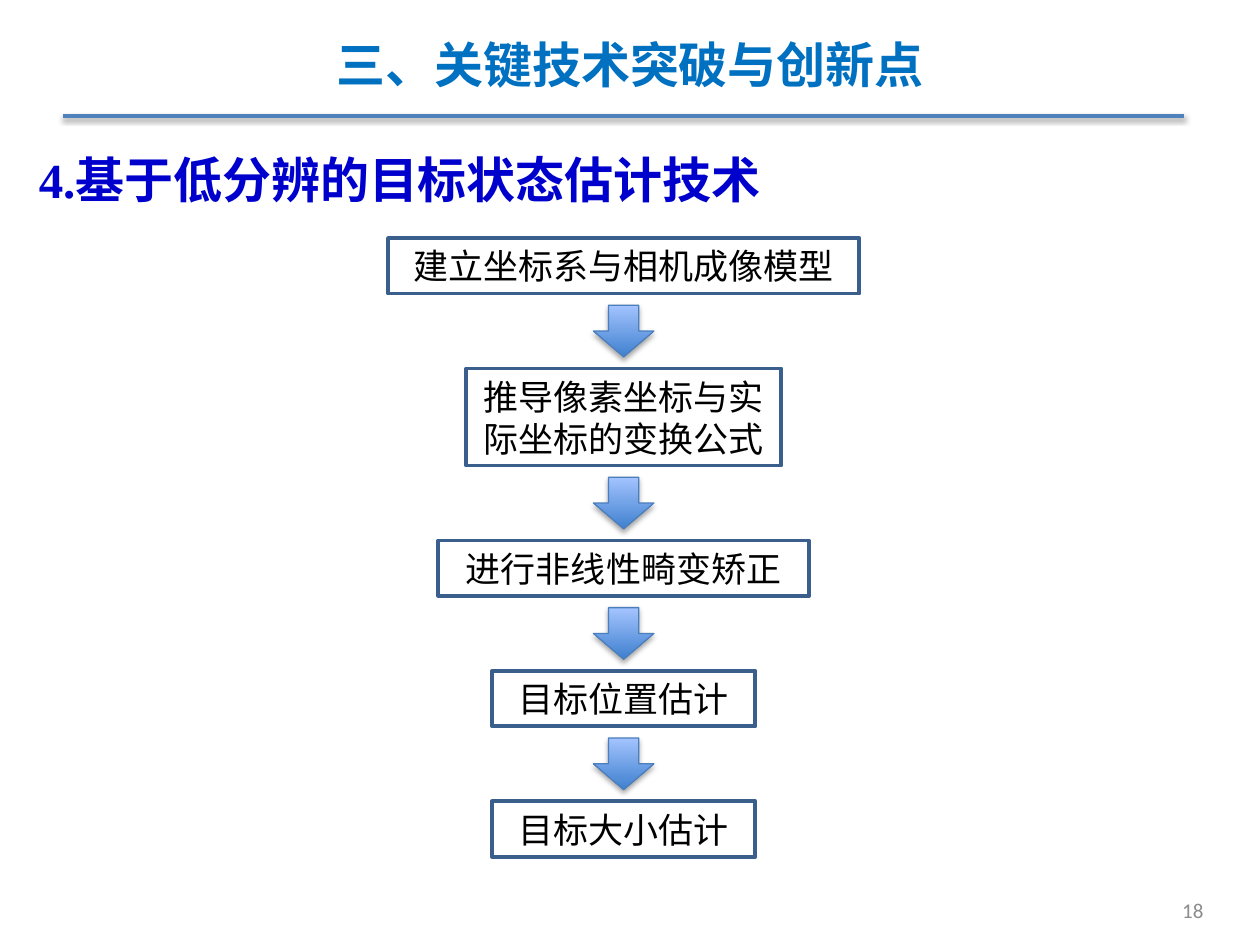
from lxml.etree import SubElement
from pptx import Presentation
from pptx.dml.color import RGBColor
from pptx.enum.shapes import MSO_CONNECTOR, MSO_SHAPE
from pptx.enum.text import MSO_ANCHOR, PP_ALIGN
from pptx.oxml.ns import qn
from pptx.util import Inches, Pt

TITLE_BLUE = RGBColor(0x00, 0x70, 0xC0)
HEADING_BLUE = RGBColor(0x00, 0x00, 0xCC)
RULE_BLUE = RGBColor(0x4F, 0x81, 0xBD)
BOX_BORDER = RGBColor(0x3A, 0x5F, 0x8C)
ARROW_BORDER = RGBColor(0x4B, 0x7E, 0xBC)
ARROW_DARK = RGBColor(0x3F, 0x80, 0xCE)
ARROW_LIGHT = RGBColor(0xA4, 0xC4, 0xFF)
BLACK = RGBColor(0x00, 0x00, 0x00)
GREY = RGBColor(0x8C, 0x8C, 0x8C)

CJK_FONT = "Noto Sans CJK SC"
ARROW_SIZE = (0.48, 0.41)
# Text, width and height of each step, from first to last
STEPS = [
    ("建立坐标系与相机成像模型", 3.74, 0.44),
    ("推导像素坐标与实际坐标的变换公式", 2.5, 0.77),
    ("进行非线性畸变矫正", 2.94, 0.44),
    ("目标位置估计", 2.09, 0.44),
    ("目标大小估计", 2.09, 0.44),
]


def inches(*lengths):
    return [Inches(length) for length in lengths]


def write(shape, text, size, font_name, color, align, bold=False, anchor=MSO_ANCHOR.MIDDLE):
    """Fill a shape with one formatted paragraph and return the paragraph."""
    frame = shape.text_frame
    frame.word_wrap = True
    frame.vertical_anchor = anchor
    paragraph = frame.paragraphs[0]
    run = paragraph.add_run()
    run.text = text
    paragraph.alignment = align
    font = paragraph.font
    font.size, font.name, font.bold = Pt(size), font_name, bold
    font.color.rgb = color
    SubElement(run.font._element, qn("a:ea"), typeface=CJK_FONT)
    return paragraph


def drop_shadow(shape, blur, distance, opacity):
    """Cast a black shadow straight down; blur and distance in points."""
    effects = SubElement(shape._element.spPr, qn("a:effectLst"))
    shadow = SubElement(effects, qn("a:outerShdw"), blurRad=str(Pt(blur)),
                        dist=str(Pt(distance)), dir="5400000", rotWithShape="0")
    color = SubElement(shadow, qn("a:srgbClr"), val=str(BLACK))
    SubElement(color, qn("a:alpha"), val=str(opacity * 1000))


def add_header(slide, left, top, width, height):
    title = slide.shapes.title
    title.left, title.top, title.width, title.height = inches(left, top, width, height)
    write(title, "三、关键技术突破与创新点", 28, CJK_FONT, TITLE_BLUE, PP_ALIGN.CENTER, bold=True)

    rule_y = top + height + 0.11
    rule = slide.shapes.add_connector(
        MSO_CONNECTOR.STRAIGHT, *inches(left, rule_y, left + width - 0.1, rule_y))
    rule.line.color.rgb = RULE_BLUE
    rule.line.width = Pt(2)
    drop_shadow(rule, 3.1, 1.6, 38)


def add_heading(slide, left, top, width, height):
    heading = slide.shapes.add_textbox(*inches(left, top, width, height))
    paragraph = write(heading, "4.基于低分辨的目标状态估计技术", 28, "Times New Roman",
                      HEADING_BLUE, PP_ALIGN.LEFT, bold=True, anchor=MSO_ANCHOR.TOP)
    paragraph.line_spacing = 1.4


def add_step(shapes, text, left, top, width, height):
    step = shapes.add_shape(MSO_SHAPE.RECTANGLE, *inches(left, top, width, height))
    step.shadow.inherit = False
    step.fill.background()
    step.line.color.rgb = BOX_BORDER
    step.line.width = Pt(2.25)
    write(step, text, 20, CJK_FONT, BLACK, PP_ALIGN.CENTER)


def add_arrow(shapes, left, top, width, height):
    arrow = shapes.add_shape(MSO_SHAPE.DOWN_ARROW, *inches(left, top, width, height))
    arrow.fill.gradient()
    arrow.fill.gradient_angle = 90
    for stop, color, position in zip(arrow.fill.gradient_stops, (ARROW_DARK, ARROW_LIGHT), (0, 1)):
        stop.color.rgb = color
        stop.position = position
    arrow.line.color.rgb = ARROW_BORDER
    arrow.line.width = Pt(0.75)
    drop_shadow(arrow, 3.1, 1.8, 35)


def add_flow(slide, left, top, width, height):
    """Stack the steps on the centre line, with an arrow in each equal gap."""
    shapes = slide.shapes.add_group_shape().shapes
    center = left + width / 2
    arrow_width, arrow_height = ARROW_SIZE
    gap = (height - sum(step[2] for step in STEPS)) / (len(STEPS) - 1)
    y = top
    for index, (text, step_width, step_height) in enumerate(STEPS):
        if index:
            add_arrow(shapes, center - arrow_width / 2, y - (gap + arrow_height) / 2, *ARROW_SIZE)
        add_step(shapes, text, center - step_width / 2, y, step_width, step_height)
        y += step_height + gap


def add_slide_number(slide, left, top, width, height):
    number = slide.shapes.add_textbox(*inches(left, top, width, height))
    write(number, "18", 12, "Calibri", GREY, PP_ALIGN.RIGHT)


def main():
    deck = Presentation()
    deck.slide_width, deck.slide_height = inches(10, 7.5)
    slide = deck.slides.add_slide(deck.slide_layouts[5])
    add_header(slide, 0.5, 0.2, 9, 0.61)
    add_heading(slide, 0.21, 0.95, 5.97, 0.76)
    add_flow(slide, 3.08, 1.89, 3.74, 4.91)
    add_slide_number(slide, 7.32, 7.1, 2.33, 0.25)
    deck.save("out.pptx")


if __name__ == "__main__":
    main()
